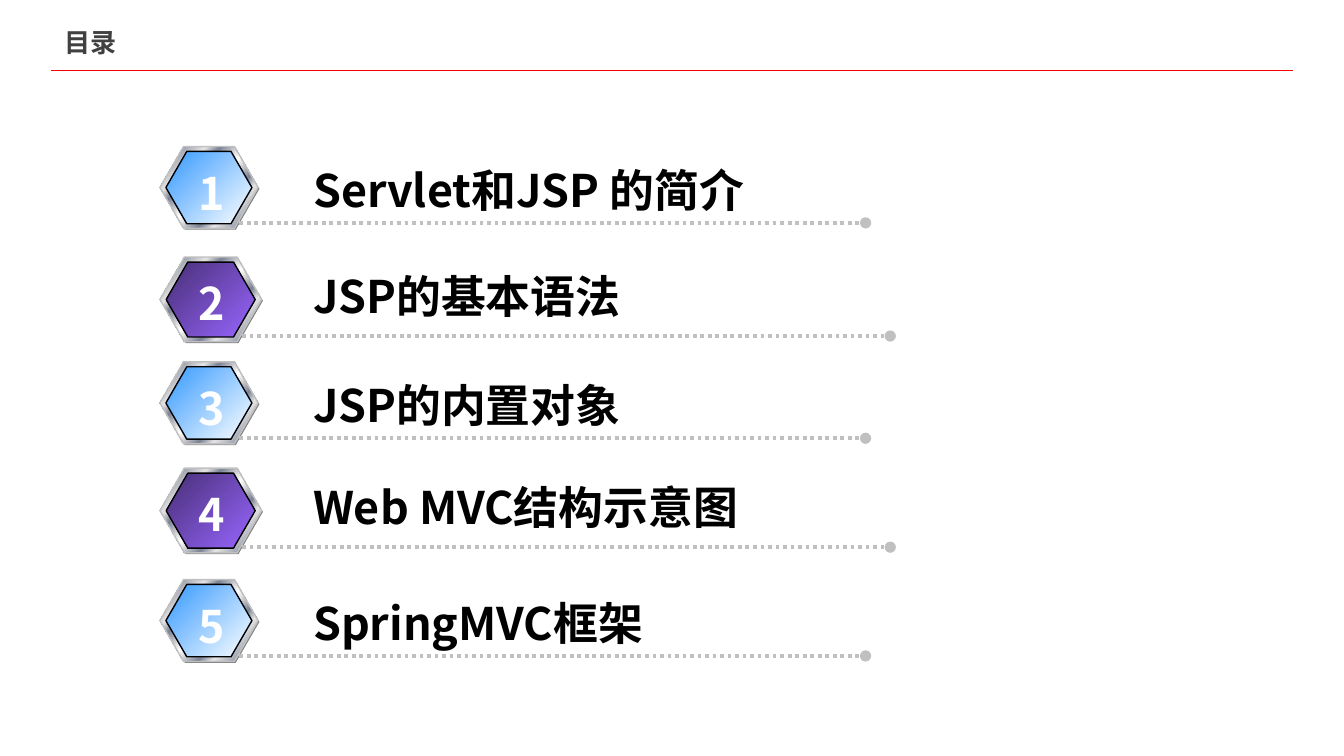
from lxml.etree import SubElement
from pptx import Presentation
from pptx.dml.color import RGBColor
from pptx.enum.dml import MSO_LINE
from pptx.enum.shapes import MSO_CONNECTOR, MSO_SHAPE
from pptx.enum.text import MSO_ANCHOR, MSO_AUTO_SIZE, PP_ALIGN
from pptx.oxml.ns import qn
from pptx.util import Pt

FONT = "Noto Sans CJK SC"
BLACK = RGBColor(0, 0, 0)
WHITE = RGBColor(255, 255, 255)
RED = RGBColor(255, 0, 0)
DARK_GRAY = RGBColor(0x40, 0x40, 0x40)
GRAY = RGBColor(0x80, 0x80, 0x80)
SILVER = RGBColor(0xC0, 0xC0, 0xC0)
LIGHT = RGBColor(0xE6, 0xE6, 0xE6)
STEEL = RGBColor(0x7D, 0x84, 0x96)
BLUE = RGBColor(0x33, 0x99, 0xFF)
INDIGO = RGBColor(0x47, 0x2F, 0x76)
VIOLET = RGBColor(0x99, 0x66, 0xFF)

METAL_STOPS = [(0, LIGHT), (8, STEEL), (26, LIGHT), (34, STEEL), (46, LIGHT), (50, WHITE),
               (54, LIGHT), (66, STEEL), (74, LIGHT), (92, STEEL), (100, LIGHT)]
BLUE_STOPS = [(0, BLUE), (100, WHITE)]
PURPLE_STOPS = [(0, INDIGO), (100, VIOLET)]
BADGE_LEFT = 85.7
LARGE_SCALE = 1.035
ITEMS = [
    ("Servlet和JSP 的简介", 78.5, 83.5),
    ("JSP的基本语法", 137.7, 140.4),
    ("JSP的内置对象", 193.9, 198.7),
    ("Web MVC结构示意图", 250.8, 253.4),
    ("SpringMVC框架", 310.5, 315.4),
]


def write_text(shape, text, size, color):
    """Put one bold line of text into a shape."""
    shape.text_frame.text = text
    paragraph = shape.text_frame.paragraphs[0]
    paragraph.alignment = PP_ALIGN.LEFT
    font = paragraph.font
    font.name, font.size, font.bold = FONT, Pt(size), True
    font.color.rgb = color
    properties = paragraph._p.pPr.find(qn("a:defRPr"))
    SubElement(properties, qn("a:ea")).set("typeface", FONT)


def add_label(shapes, text, left, top, width, color, wrap=True):
    """Add a 24 point text box."""
    label = shapes.add_textbox(Pt(left), Pt(top), Pt(width), Pt(36))
    label.text_frame.word_wrap = wrap
    label.text_frame.auto_size = MSO_AUTO_SIZE.SHAPE_TO_FIT_TEXT
    write_text(label, text, 24, color)


def add_line(shapes, start, end, top, color, width):
    """Add a horizontal line without a shadow."""
    line = shapes.add_connector(MSO_CONNECTOR.STRAIGHT, Pt(start), Pt(top), Pt(end), Pt(top))
    line.line.color.rgb = color
    line.line.width = Pt(width)
    SubElement(line._element.spPr, qn("a:effectLst"))
    return line


def add_dotted_line(shapes, start, end, top):
    """Add a dotted line that ends in a dot."""
    line = add_line(shapes, start, end, top, SILVER, 2)
    line.line.dash_style = MSO_LINE.ROUND_DOT
    SubElement(line.line._get_or_add_ln(), qn("a:tailEnd")).set("type", "oval")


def set_gradient(shape, stops):
    """Fill a shape with a diagonal gradient."""
    shape.fill.gradient()
    shape.fill.gradient_angle = 315
    stop_list = shape._element.spPr.find(qn("a:gradFill")).find(qn("a:gsLst"))
    for stop in list(stop_list):
        stop_list.remove(stop)
    for position, color in stops:
        stop = SubElement(stop_list, qn("a:gs"))
        stop.set("pos", str(position * 1000))
        SubElement(stop, qn("a:srgbClr")).set("val", str(color))


def add_hexagon(shapes, left, top, width, height, line_color=None):
    """Add a gray hexagon, outlined if a line colour is given."""
    hexagon = shapes.add_shape(MSO_SHAPE.HEXAGON, Pt(left), Pt(top), Pt(width), Pt(height))
    hexagon.adjustments[0] = 0.289
    hexagon.shadow.inherit = False
    hexagon.fill.solid()
    hexagon.fill.fore_color.rgb = GRAY
    if line_color is None:
        hexagon.line.fill.background()
    else:
        hexagon.line.color.rgb = line_color
        hexagon.line.width = Pt(0.75)
    return hexagon


def add_badge(shapes, top, scale, stops):
    """Add a hexagon badge with a metal rim."""
    width, height = 52.6 * scale, 43.9 * scale
    add_hexagon(shapes, BADGE_LEFT + 0.7, top + 0.7, width, height)
    rim = add_hexagon(shapes, BADGE_LEFT, top, width, height, SILVER)
    set_gradient(rim, METAL_STOPS)
    face = add_hexagon(shapes, BADGE_LEFT + 3.2 * scale, top + 2.6 * scale,
                       46.1 * scale, 38.8 * scale, BLACK)
    set_gradient(face, stops)


def add_item(slide, number, text, top, text_top):
    """Add one numbered entry as a group."""
    is_even = number % 2 == 0
    scale = LARGE_SCALE if is_even else 1
    shapes = slide.shapes.add_group_shape().shapes
    add_badge(shapes, top, scale, PURPLE_STOPS if is_even else BLUE_STOPS)
    add_dotted_line(shapes, BADGE_LEFT + 42.5 * scale, BADGE_LEFT + 378 * scale, top + 40.9 * scale)
    add_label(shapes, text, 160.6, text_top, 303, BLACK)
    add_label(shapes, str(number), 99.4, top + 6.6, 29.5, WHITE, wrap=False)


def add_title(slide, text):
    """Place the title above a red rule."""
    add_line(slide.shapes, 27.4, 692.6, 37.7, RED, 0.25)
    title = slide.shapes.title
    title.left, title.top, title.width, title.height = Pt(27.4), Pt(11.5), Pt(315.4), Pt(21.6)
    title.text_frame.vertical_anchor = MSO_ANCHOR.MIDDLE
    write_text(title, text, 14, DARK_GRAY)


def main():
    """Build the contents slide."""
    presentation = Presentation()
    presentation.slide_width, presentation.slide_height = Pt(720), Pt(405)
    slide = presentation.slides.add_slide(presentation.slide_layouts[5])
    slide.background.fill.solid()
    slide.background.fill.fore_color.rgb = WHITE
    add_title(slide, "目录")
    for number, (text, top, text_top) in enumerate(ITEMS, start=1):
        add_item(slide, number, text, top, text_top)
    presentation.save("out.pptx")


main()
